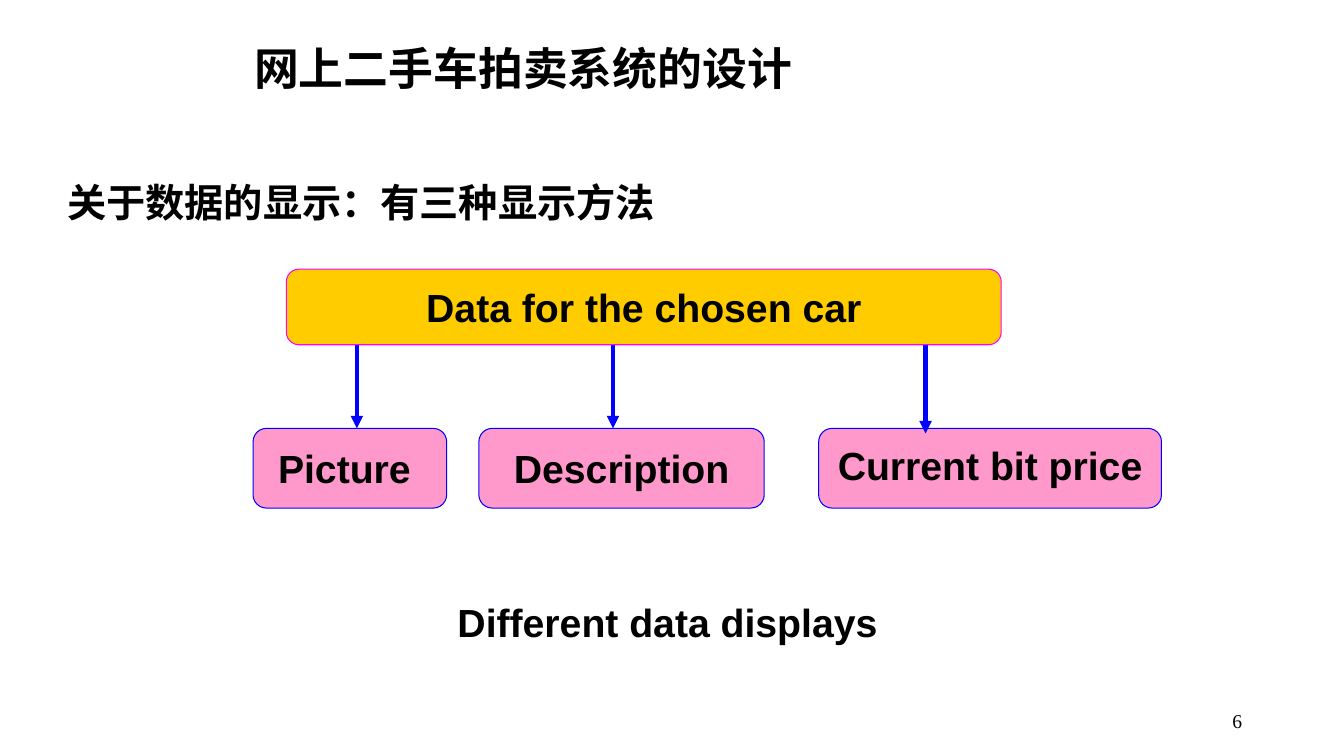
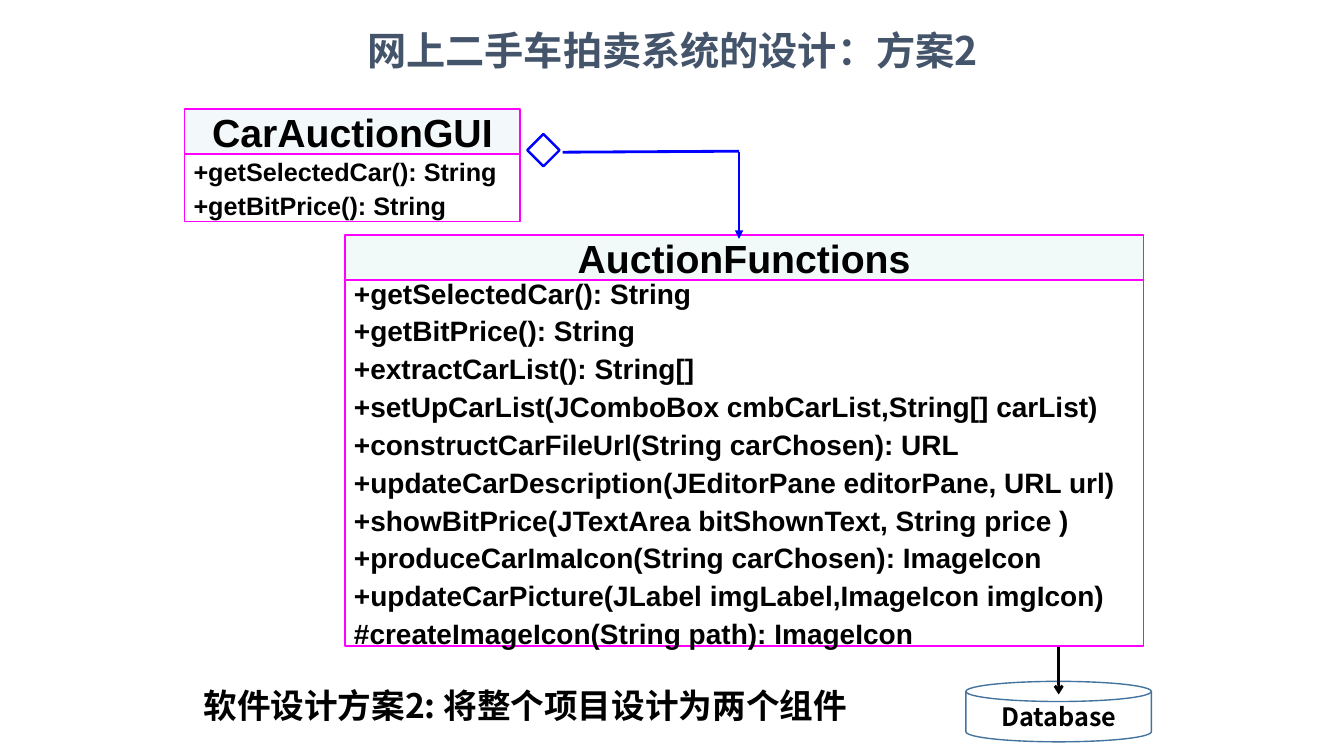
"""Build two slides on the design of an online used-car auction."""
import pptx
import pptx.util
import pptx.dml.color
import pptx.enum.shapes
import pptx.enum.text
import pptx.oxml
import pptx.oxml.ns

PX = 9144
Pt = pptx.util.Pt
Color = pptx.dml.color.RGBColor.from_string
Kind = pptx.enum.shapes.MSO_SHAPE
Line = pptx.enum.shapes.MSO_CONNECTOR.STRAIGHT
Align = pptx.enum.text.PP_ALIGN
MIDDLE = pptx.enum.text.MSO_ANCHOR.MIDDLE
FIXED = pptx.enum.text.MSO_AUTO_SIZE.NONE
SPACE = pptx.oxml.ns.nsdecls("a")


class Theme:
    ink, slate, blue, pink = "000000", "44546A", "0000FF", "FF00FF"
    gold, rose, mint, white, steel = "FFCC00", "FF99CC", "BBE0E3", "FFFFFF", "43739E"
    arial, noto, times = "Arial", "Noto Sans CJK SC", "Times New Roman"
    title, head, note, list, small, page = 32, 28, 24, 20, 18, 14


def write(shape, lines, size, font=Theme.arial, color=Theme.ink, bold=True,
          align=Align.CENTER, gap=0, wrap=True, pad=(10, 5), lead=None):
    frame = shape.text_frame
    look = dict(word_wrap=wrap, auto_size=FIXED, vertical_anchor=MIDDLE,
                margin_left=pad[0] * PX, margin_right=pad[0] * PX,
                margin_top=pad[1] * PX, margin_bottom=pad[1] * PX)
    for key, value in look.items():
        setattr(frame, key, value)
    for index, text in enumerate(lines):
        para = frame.add_paragraph() if index else frame.paragraphs[0]
        rules = dict(alignment=align, line_spacing=lead, space_before=Pt(gap if index else 0))
        for key, value in rules.items():
            setattr(para, key, value)
        run = para.add_run()
        run.text = text
        for key, value in dict(size=Pt(size), name=font, bold=bold).items():
            setattr(run.font, key, value)
        run.font.color.rgb = Color(color)
        latin = run.font._element.find(pptx.oxml.ns.qn("a:latin"))
        latin.addnext(pptx.oxml.parse_xml(f'<a:ea {SPACE} typeface="{font}"/>'))


def draw(slide, kind, box, line, width, fill=None, alpha=None, tail=None):
    sizes = [n * PX for n in box]
    if kind is Line:
        item = slide.shapes.add_connector(kind, *sizes)
        item._element.spPr.append(pptx.oxml.parse_xml(f"<a:effectLst {SPACE}/>"))
    else:
        item = slide.shapes.add_shape(kind, *sizes)
        item.shadow.inherit = False
        if fill:
            item.fill.solid()
            item.fill.fore_color.rgb = Color(fill)
        else:
            item.fill.background()
    if alpha:
        tint = next(item._element.spPr.iter(pptx.oxml.ns.qn("a:srgbClr")))
        tint.append(pptx.oxml.parse_xml(f'<a:alpha {SPACE} val="{alpha * 1000}"/>'))
    item.line.color.rgb = Color(line)
    item.line.width = Pt(width)
    if tail:
        item.line._get_or_add_ln().append(
            pptx.oxml.parse_xml(f'<a:tailEnd {SPACE} type="{tail}"/>'))
    return item


deck = pptx.Presentation()
deck.slide_width, deck.slide_height = 1333 * PX, 750 * PX

heads = [
    ("网上二手车拍卖系统的设计", (242, 33, 850, 75),
     dict(size=Theme.title, align=Align.LEFT, lead=0.9)),
    ("网上二手车拍卖系统的设计：方案2", (242, 8, 850, 83),
     dict(size=Theme.head, color=Theme.slate)),
]
pages = []
for text, box, look in heads:
    slide = deck.slides.add_slide(deck.slide_layouts[5])
    title = slide.shapes.title
    for key, value in zip(("left", "top", "width", "height"), box):
        setattr(title, key, value * PX)
    write(title, [text], font=Theme.noto, **look)
    pages.append(slide)
views, plan = pages

labels = [
    (views, "6", (942, 695, 300, 40),
     dict(size=Theme.page, font=Theme.times, bold=False, align=Align.RIGHT)),
    (views, "Different data displays", (358, 588, 608, 57), dict(size=Theme.head)),
    (views, "关于数据的显示：有三种显示方法", (57, 172, 683, 57),
     dict(size=Theme.head, font=Theme.noto, align=Align.LEFT)),
    (plan, "软件设计方案2: 将整个项目设计为两个组件", (192, 674, 675, 51),
     dict(size=Theme.note, font=Theme.noto, align=Align.LEFT)),
]
for slide, text, box, look in labels:
    label = slide.shapes.add_textbox(*[n * PX for n in box])
    write(label, [text], **look)

nodes = [
    ("Data for the chosen car", (284, 267, 709, 75), Theme.gold, Theme.pink, None),
    ("Picture ", (251, 425, 192, 79), Theme.rose, Theme.blue, None),
    ("Description", (475, 425, 283, 79), Theme.rose, Theme.blue, None),
    ("Current bit price", (812, 425, 340, 79), Theme.rose, Theme.blue, 0.85),
]
for text, box, fill, line, lead in nodes:
    node = draw(views, Kind.ROUNDED_RECTANGLE, box, line, 0.75, fill)
    write(node, [text], Theme.head, wrap=False, lead=lead)
for x, end in ((354, 425), (608, 425), (918, 430)):
    draw(views, Line, (x, 342, x, end), Theme.blue, 3, tail="triangle")

models = [
    ("CarAuctionGUI", 183, 108, 333, 67, 17, Theme.small, 4, [
        "+getSelectedCar(): String",
        "+getBitPrice(): String",
    ]),
    ("AuctionFunctions", 342, 233, 792, 363, 18, Theme.list, 8, [
        "+getSelectedCar(): String",
        "+getBitPrice(): String",
        "+extractCarList(): String[]",
        "+setUpCarList(JComboBox cmbCarList,String[] carList)",
        "+constructCarFileUrl(String carChosen): URL",
        "+updateCarDescription(JEditorPane editorPane, URL url)",
        "+showBitPrice(JTextArea bitShownText, String price )",
        "+produceCarImaIcon(String carChosen): ImageIcon",
        "+updateCarPicture(JLabel imgLabel,ImageIcon imgIcon)",
        "#createImageIcon(String path): ImageIcon",
    ]),
]
BAND = 45
for name, x, y, wide, high, alpha, size, pad, calls in models:
    band = draw(plan, Kind.RECTANGLE, (x, y, wide, BAND), Theme.pink, 1, Theme.mint, alpha)
    write(band, [name], Theme.head, pad=(9, 4))
    body = draw(plan, Kind.RECTANGLE, (x, y + BAND, wide, high), Theme.pink, 1)
    write(body, calls, size, align=Align.JUSTIFY, gap=size * 0.15, pad=(9, pad))

draw(plan, Kind.DIAMOND, (523, 133, 32, 32), Theme.blue, 1.75)
draw(plan, Line, (558, 151, 733, 150), Theme.blue, 2)
draw(plan, Line, (733, 151, 733, 237), Theme.blue, 2, tail="triangle")
store = draw(plan, Kind.FLOWCHART_MAGNETIC_DISK, (958, 676, 184, 60),
             Theme.steel, 1, Theme.white)
write(store, ["Database"], Theme.small, font=Theme.noto)
draw(plan, Line, (1050, 642, 1050, 689), Theme.ink, 2, tail="arrow")

deck.save("out.pptx")
